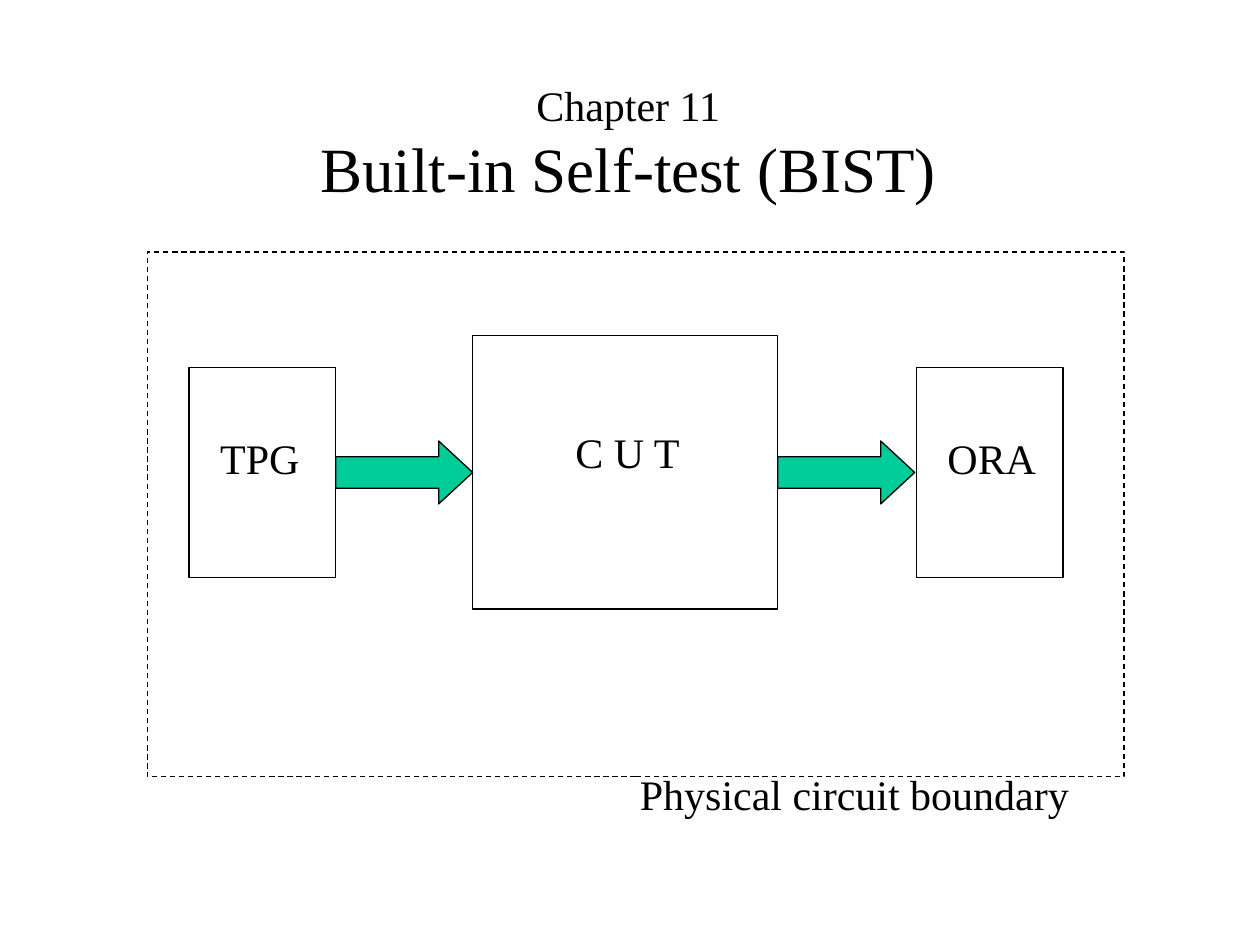
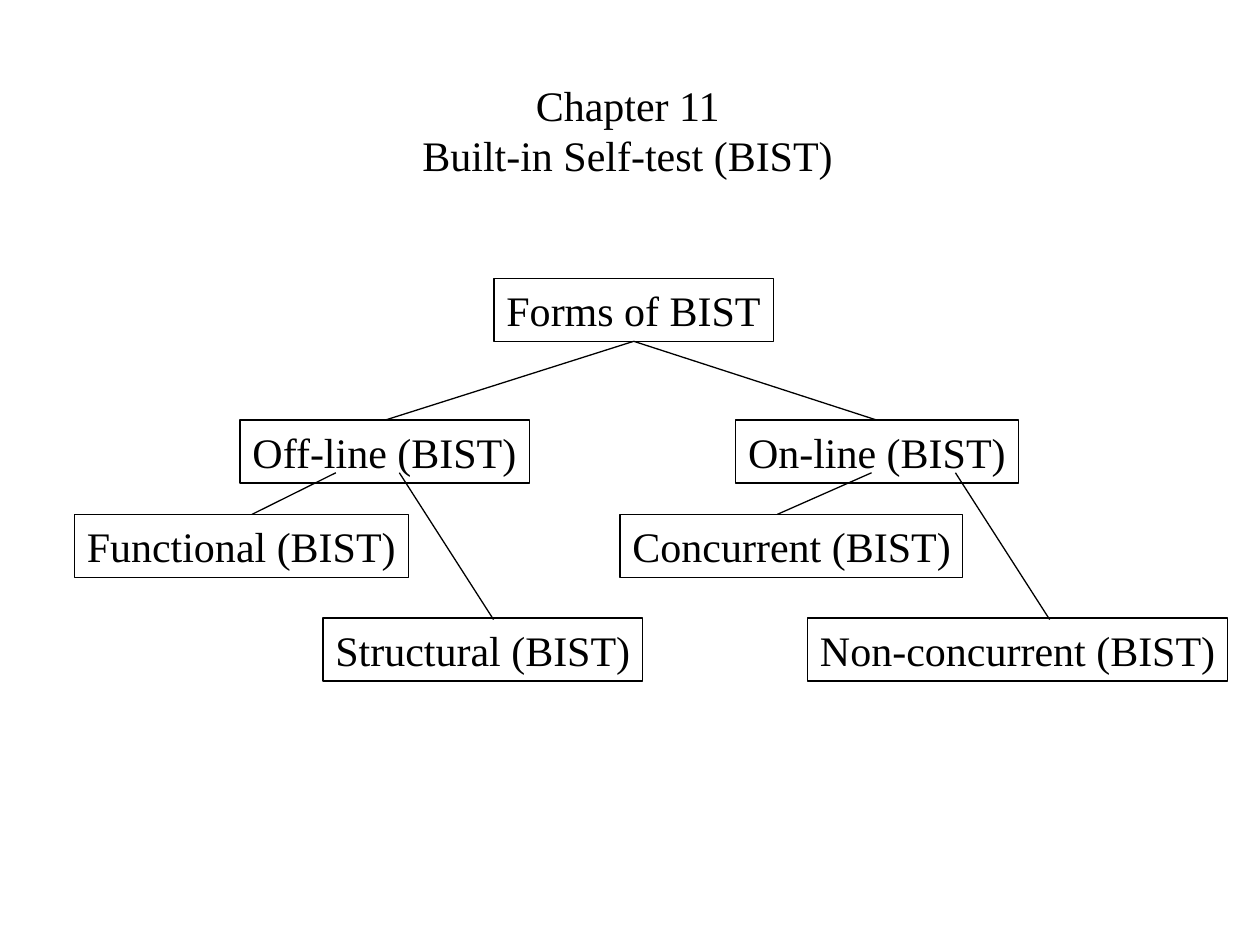
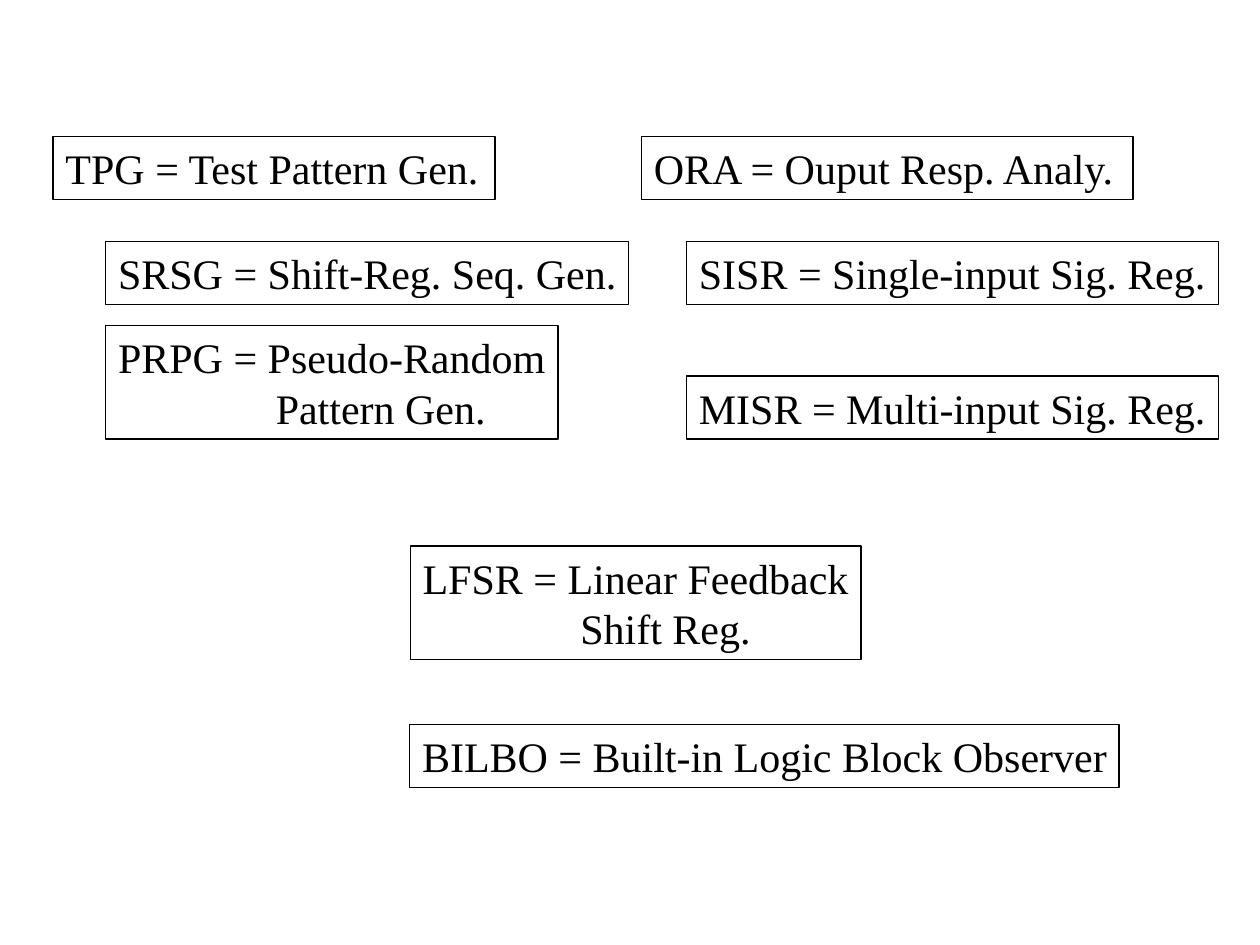
import pptx
import pptx.util
import pptx.dml.color
import pptx.enum.dml
import pptx.enum.shapes
import pptx.enum.text
import lxml.etree

Cm, Pt = pptx.util.Cm, pptx.util.Pt
kinds = pptx.enum.shapes.MSO_SHAPE
FONT, BLACK, GREEN = "Times New Roman", "000000", "00CC99"
TALL = 1.27  # height of a box with one line of text
INDENT = 3.18  # second line of a term


def color(part, code):
    """Colour a fill, line or font from a hex string."""
    if hasattr(part, "solid"):
        part.solid()
        part = part.fore_color
    elif hasattr(part, "color"):
        part = part.color
    part.rgb = pptx.dml.color.RGBColor.from_string(code)


def write(shape, text, sizes=(24, 24), center=False, indent=0):
    """Put text in a shape, one paragraph for each line."""
    frame = shape.text_frame
    frame.text = text
    frame.auto_size = pptx.enum.text.MSO_AUTO_SIZE.NONE
    frame.vertical_anchor = pptx.enum.text.MSO_ANCHOR.TOP
    frame.word_wrap = not center
    frame.margin_left = Cm(0.25)
    frame.margin_right = Cm(0.25 if center else 0)
    frame.margin_top = frame.margin_bottom = Cm(0.13)
    align = pptx.enum.text.PP_ALIGN
    for row, (para, size) in enumerate(zip(frame.paragraphs, sizes)):
        para.alignment = align.CENTER if center else align.LEFT
        para.line_spacing = Pt(size * 1.2)
        if row and indent:
            para._p.get_or_add_pPr().set("marL", str(Cm(indent)))
        para.font.name = FONT
        para.font.size = Pt(size)
        color(para.font, BLACK)


deck = pptx.Presentation()
deck.slide_width, deck.slide_height = Cm(25.4), Cm(19.05)
layouts = deck.slide_layouts
flow = deck.slides.add_slide(layouts[5])
tree = deck.slides.add_slide(layouts[5])
terms = deck.slides.add_slide(layouts[6])

# Titles
for slide, size, left, width, height in [
    (flow, 36, 6.2, 12.93, 2.79),
    (tree, 24, 8.26, 8.79, 2.29),
]:
    title = slide.shapes.title
    title.left, title.top = Cm(left), Cm(1.47)
    title.width, title.height = Cm(width), Cm(height)
    write(title, "Chapter 11\nBuilt-in Self-test (BIST)",
          sizes=(24, size), center=True)

# Every outlined shape: slide, kind, place, fill, text
rect, arrow = kinds.RECTANGLE, kinds.RIGHT_ARROW
parts = [
    (flow, rect, 9.53, 6.77, 6.15, 5.51, None, ""),
    (flow, rect, 3.81, 7.41, 2.96, 4.23, None, ""),
    (flow, arrow, 6.77, 8.89, 2.76, TALL, GREEN, ""),
    (flow, arrow, 15.68, 8.89, 2.76, TALL, GREEN, ""),
    (flow, rect, 18.47, 7.41, 2.96, 4.23, None, ""),
    (flow, rect, 2.97, 5.08, 19.69, 10.58, None, ""),
]
for text, left, top, width in [
    ("Forms of BIST", 9.96, 5.61, 5.63),
    ("Off-line (BIST)", 4.84, 8.47, 5.84),
    ("On-line (BIST)", 14.83, 8.47, 5.7),
    ("Functional (BIST)", 1.5, 10.37, 6.73),
    ("Structural (BIST)", 6.51, 12.46, 6.45),
    ("Concurrent (BIST)", 12.5, 10.37, 6.91),
    ("Non-concurrent (BIST)", 16.28, 12.46, 8.47),
]:
    parts.append((tree, rect, left, top, width, TALL, None, text))
for text, left, top, width in [
    ("TPG = Test Pattern Gen.", 1.07, 2.75, 8.91),
    ("ORA = Ouput Resp. Analy.", 12.93, 2.75, 9.91),
    ("SRSG = Shift-Reg. Seq. Gen.", 2.13, 4.87, 10.54),
    ("PRPG = Pseudo-Random\nPattern Gen.", 2.13, 6.56, 9.12),
    ("LFSR = Linear Feedback\nShift Reg.", 8.27, 11.01, 9.09),
    ("BILBO = Built-in Logic Block Observer", 8.26, 14.6, 14.3),
    ("SISR = Single-input Sig. Reg.", 13.84, 4.87, 10.72),
    ("MISR = Multi-input Sig. Reg.", 13.84, 7.58, 10.72),
]:
    height = TALL + 1.02 * text.count("\n")
    parts.append((terms, rect, left, top, width, height, None, text))

nodes = {}
for slide, kind, left, top, width, height, fill, text in parts:
    shape = slide.shapes.add_shape(
        kind, Cm(left), Cm(top), Cm(width), Cm(height))
    shape.shadow.inherit = False
    color(shape.line, BLACK)
    shape.line.width = Pt(0.75)
    if fill:
        color(shape.fill, fill)
        shape.adjustments[1] = 0.54
    else:
        shape.fill.background()
    if text:
        write(shape, text, indent=INDENT)
        nodes[text] = shape
    elif width > 15:  # circuit boundary
        shape.line.dash_style = pptx.enum.dml.MSO_LINE.DASH

# Labels of the block diagram
for text, left, top, width in [
    ("C U T", 11.35, 8.46, 2.62),
    ("TPG", 4.19, 8.59, 2.11),
    ("ORA", 18.85, 8.59, 2.29),
    ("Physical circuit boundary", 12.65, 15.37, 9.14),
]:
    label = flow.shapes.add_textbox(Cm(left), Cm(top), Cm(width), Cm(TALL))
    write(label, text)

# Branches of the tree, the upper two joined to their boxes
for x1, y1, x2, y2, child in [
    (12.7, 6.99, 7.82, 8.47, "Off-line (BIST)"),
    (12.7, 6.99, 17.58, 8.47, "On-line (BIST)"),
    (6.77, 9.53, 5.08, 10.37, None),
    (8.05, 9.53, 9.95, 12.49, None),
    (17.57, 9.53, 15.67, 10.37, None),
    (19.26, 9.53, 21.16, 12.49, None),
]:
    line = tree.shapes.add_connector(
        pptx.enum.shapes.MSO_CONNECTOR.STRAIGHT,
        Cm(x1), Cm(y1), Cm(x2), Cm(y2))
    if child:
        line.begin_connect(nodes["Forms of BIST"], 2)
        line.end_connect(nodes[child], 0)
    color(line.line, BLACK)
    line.line.width = Pt(0.75)
    lxml.etree.SubElement(line._element.spPr,
                          pptx.oxml.ns.qn("a:effectLst"))

deck.save("out.pptx")
